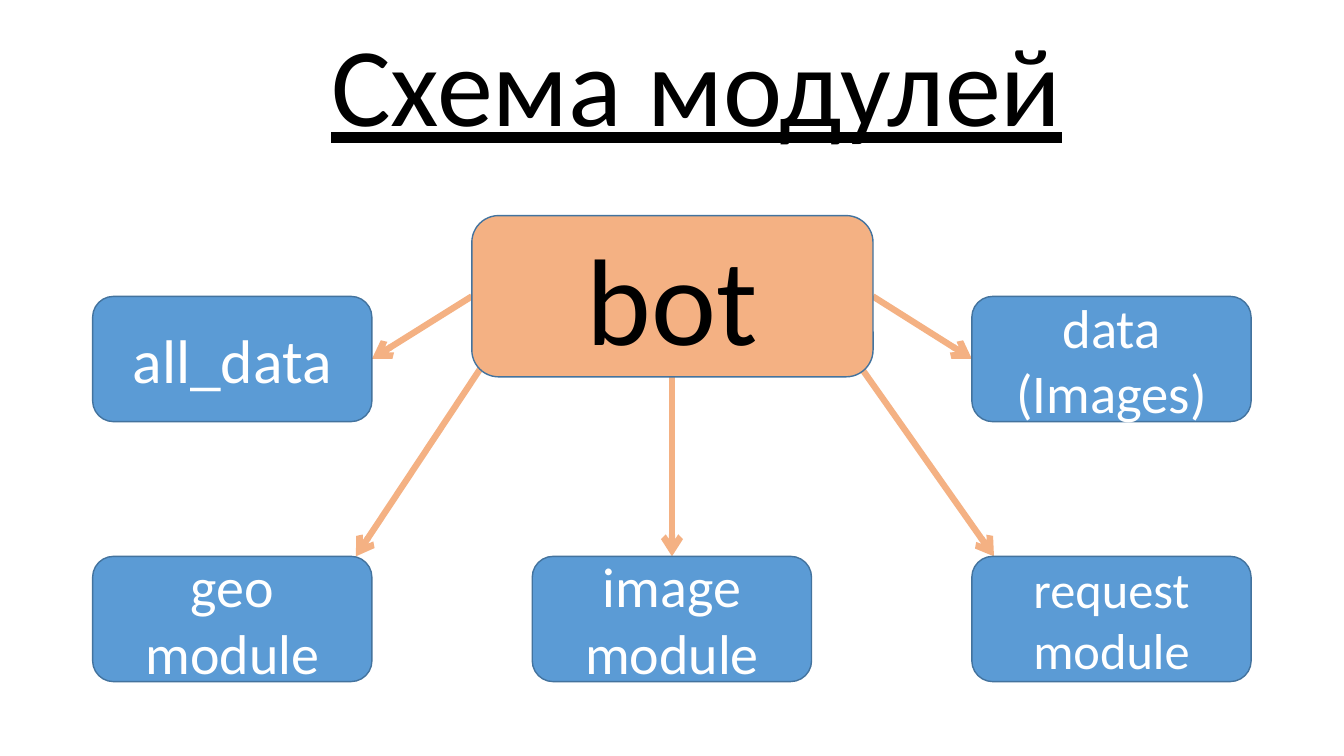
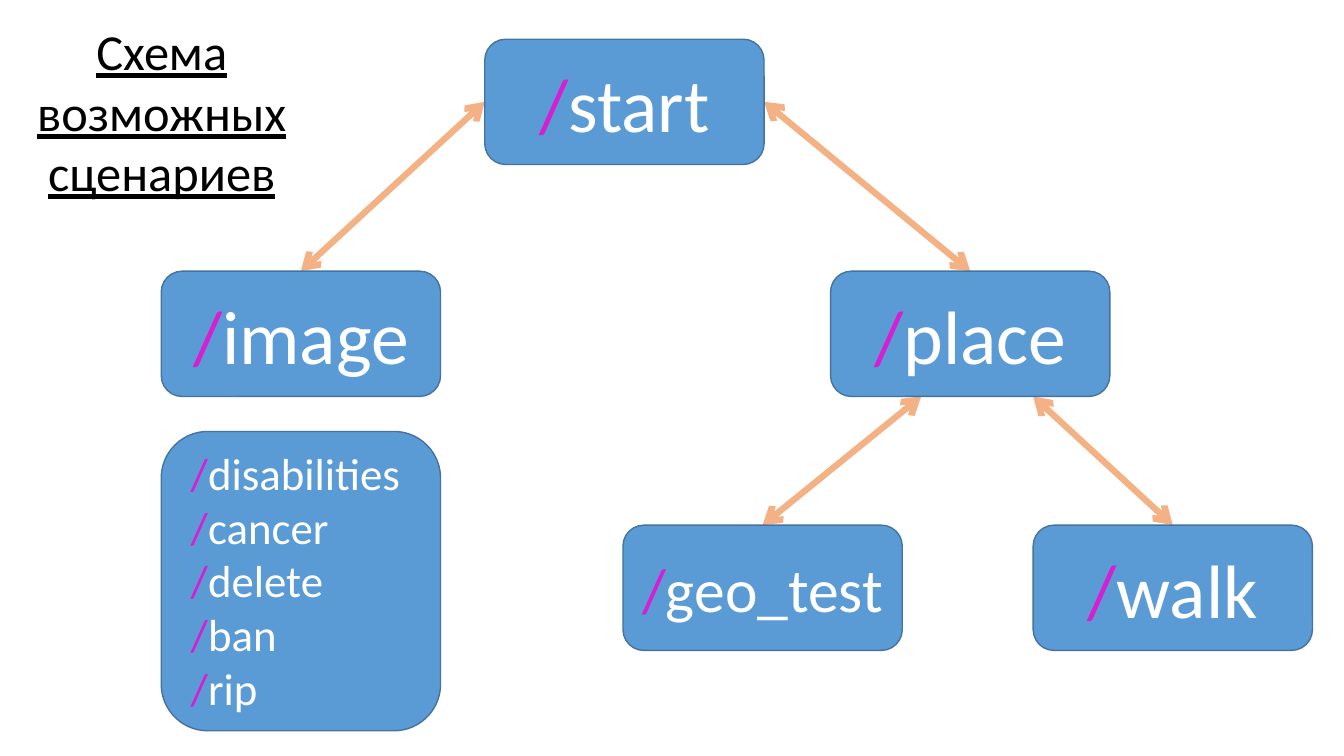
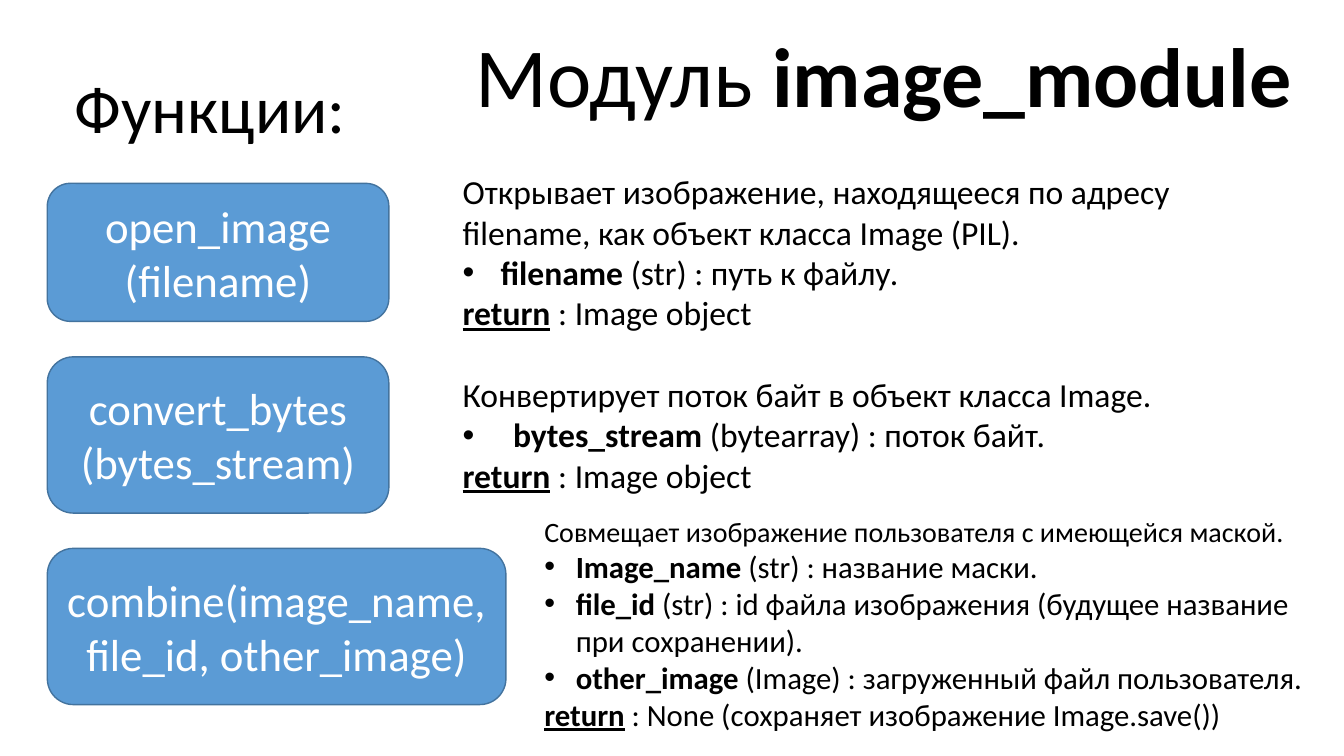
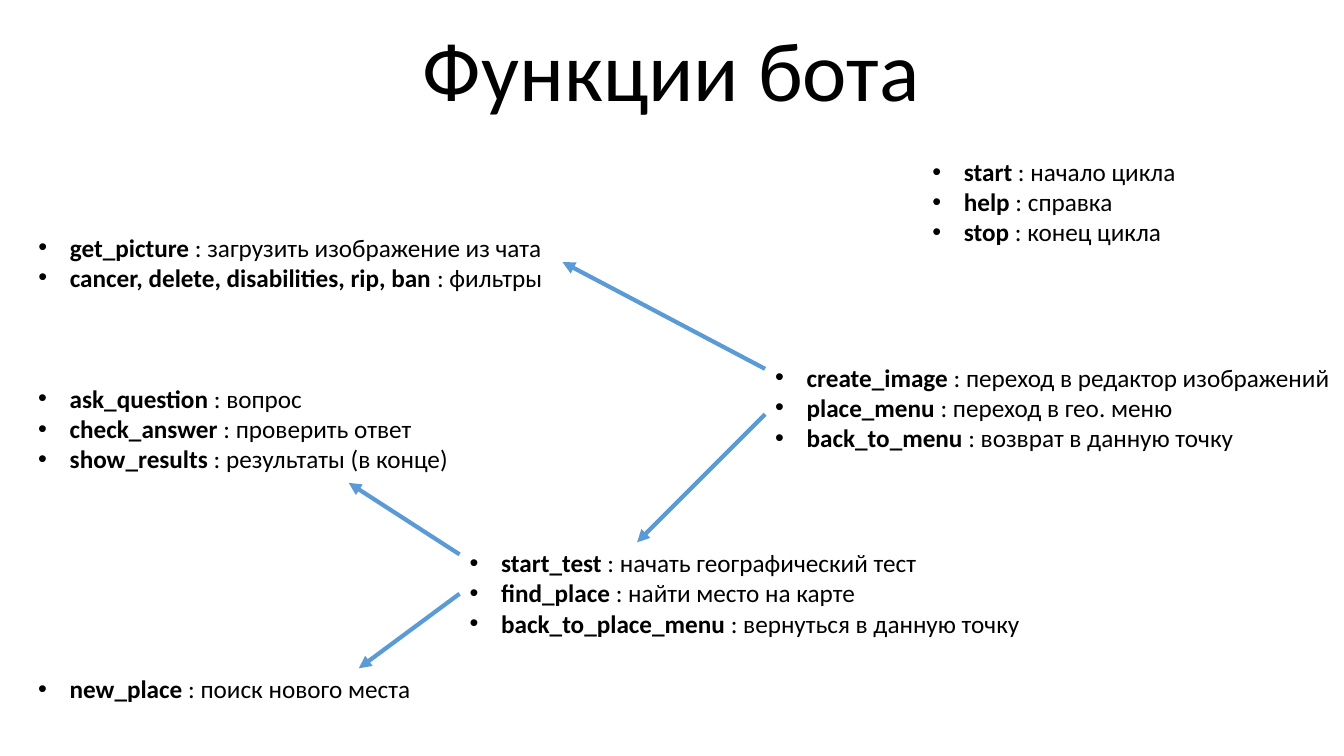
from dataclasses import dataclass
from typing import Any

from lxml import etree
from pptx import Presentation
from pptx import util as u
from pptx.dml import color
from pptx.enum import shapes, text
from pptx.oxml import ns

FONT = "Calibri"
BLUE, EDGE, PEACH = "5B9BD5", "43739E", "F4B183"
PINK, BLACK, WHITE = "D91DD0", "000000", "FFFFFF"
MID, TOP = text.MSO_ANCHOR.MIDDLE, text.MSO_ANCHOR.TOP
LEFT, CENTER = text.PP_ALIGN.LEFT, text.PP_ALIGN.CENTER
WIDE, HIGH = 199.5, 89.5
DENT = 22.5


@dataclass
class Run:
    words: str
    bold: bool = False
    under: bool = False
    hue: str | None = None


@dataclass
class Para:
    runs: list[Run]
    dent: float = 0
    size: float | None = None


@dataclass
class Look:
    size: float
    hue: str = BLACK
    align: Any = LEFT
    anchor: Any = TOP
    space: float = 1.0


@dataclass
class Area:
    x: float
    y: float
    w: float = WIDE
    h: float = HIGH


@dataclass
class Node:
    area: Area
    paras: list[Para]
    size: float = 32
    fill: str = BLUE
    hue: str = WHITE


@dataclass
class Block:
    area: Area
    paras: list[Para]
    look: Look


@dataclass
class Arrow:
    x1: float
    y1: float
    x2: float
    y2: float


@dataclass
class Pen:
    hue: str
    width: float
    tail: str
    head: str | None = None


@dataclass
class Page:
    layout: int
    title: Block
    nodes: list[Node]
    blocks: list[Block]
    arrows: list[Arrow]
    pen: Pen | None = None


def tint(code: str) -> color.RGBColor:
    return color.RGBColor.from_string(code)


def assign(item: Any, values: dict[str, Any]) -> None:
    for name, value in values.items():
        setattr(item, name, value)


def extend(node: Any, tag: str, **values: str) -> None:
    etree.SubElement(node, ns.qn(tag), values)


def place(item: Any, area: Area) -> None:
    assign(item, {"left": u.Pt(area.x), "top": u.Pt(area.y),
                  "width": u.Pt(area.w), "height": u.Pt(area.h)})


def bullet(line: Any, dent: float) -> None:
    props = line._p.get_or_add_pPr()
    props.set("marL", str(u.Pt(dent)))
    props.set("indent", str(-u.Pt(dent)))
    if dent:
        extend(props, "a:buFont", typeface="Arial")
        extend(props, "a:buChar", char="•")
    else:
        extend(props, "a:buNone")


def write(shape: Any, paras: list[Para], look: Look) -> None:
    frame = shape.text_frame
    assign(frame, {"word_wrap": True, "auto_size": text.MSO_AUTO_SIZE.NONE,
                   "vertical_anchor": look.anchor})
    for place_no, para in enumerate(paras):
        line = frame.add_paragraph() if place_no else frame.paragraphs[0]
        assign(line, {"alignment": look.align, "line_spacing": look.space,
                      "space_before": u.Pt(0), "space_after": u.Pt(0)})
        bullet(line, para.dent)
        for part in para.runs:
            run = line.add_run()
            run.text = part.words
            assign(run.font, {"name": FONT, "size": u.Pt(para.size or look.size),
                              "bold": part.bold, "underline": part.under})
            run.font.color.rgb = tint(part.hue or look.hue)


def draw_node(slide: Any, node: Node) -> None:
    shape = slide.shapes.add_shape(shapes.MSO_SHAPE.ROUNDED_RECTANGLE, 0, 0, 0, 0)
    place(shape, node.area)
    shape.shadow.inherit = False
    shape.fill.solid()
    shape.fill.fore_color.rgb = tint(node.fill)
    shape.line.color.rgb = tint(EDGE)
    shape.line.width = u.Pt(1)
    if node.paras:
        write(shape, node.paras, Look(node.size, node.hue, CENTER, MID))


def draw_arrow(slide: Any, arrow: Arrow, pen: Pen) -> None:
    ends = [u.Pt(n) for n in (arrow.x1, arrow.y1, arrow.x2, arrow.y2)]
    link = slide.shapes.add_connector(shapes.MSO_CONNECTOR.STRAIGHT, *ends)
    link.line.color.rgb = tint(pen.hue)
    link.line.width = u.Pt(pen.width)
    props = link._element.spPr
    stroke = props.find(ns.qn("a:ln"))
    if pen.head:
        extend(stroke, "a:headEnd", type=pen.head)
    extend(stroke, "a:tailEnd", type=pen.tail)
    extend(props, "a:effectLst")


def draw_block(shape: Any, block: Block) -> None:
    place(shape, block.area)
    write(shape, block.paras, block.look)


def draw_page(deck: Any, page: Page) -> None:
    slide = deck.slides.add_slide(deck.slide_layouts[page.layout])
    slots = [slot for slot in slide.placeholders if slot.placeholder_format.idx]
    draw_block(slide.shapes.title, page.title)
    for arrow in page.arrows:
        draw_arrow(slide, arrow, page.pen)
    for node in page.nodes:
        draw_node(slide, node)
    for block in page.blocks:
        shape = slots.pop(0) if slots else slide.shapes.add_textbox(0, 0, 0, 0)
        slide.shapes._spTree.append(shape._element)
        draw_block(shape, block)


def plain(*lines: str) -> list[Para]:
    return [Para([Run(line)]) for line in lines]


def item(name: str, rest: str, dent: float = DENT, size: float | None = None) -> Para:
    return Para([Run(name, bold=True), Run(f" {rest}")], dent, size)


def result(rest: str, size: float | None = None) -> Para:
    return Para([Run("return", bold=True, under=True), Run(f" : {rest}")], 0, size)


def order(name: str) -> Para:
    return Para([Run("/", hue=PINK), Run(name)])


def title(area: Area, size: float, *runs: Run) -> Block:
    return Block(area, [Para(list(runs))], Look(size, align=CENTER, anchor=MID, space=0.9))


def listing(area: Area, *pairs: tuple[str, str]) -> Block:
    return Block(area, [item(name, f": {rest}") for name, rest in pairs], Look(18))


def modules() -> Page:
    cols = [66.2 + 314 * n for n in range(3)]
    high, low = 211.7, 397.4
    return Page(
        5,
        title(Area(83.5, 12.2, 828, 104.4), 80, Run("Схема модулей", under=True)),
        [
            Node(Area(cols[0], low), plain("geo module"), 40),
            Node(Area(cols[0], high), plain("all_data"), 44),
            Node(Area(cols[2], high), plain("data", "(Images)"), 39),
            Node(Area(cols[2], low), plain("request module"), 36),
            Node(Area(cols[1], low), plain("image", "module"), 40),
            Node(Area(337, 154, 286.6, 115.2), plain("bot"), 88, PEACH, BLACK),
        ],
        [],
        [
            Arrow(480, 268.6, 480, low),
            Arrow(614.2, 261.4, 710, low),
            Arrow(623.5, high, cols[2], 256.3),
            Arrow(337, high, cols[0] + WIDE, 256.3),
            Arrow(346.3, 258.5, 254.2, low),
        ],
        Pen(PEACH, 4.5, "arrow"),
    )


def scenes() -> Page:
    first, second, third = 28, 193.7, 375.1
    start, image, spot, test, walk = 346.3, 115.2, 593.3, 445, 738
    half, base = WIDE / 2, second + HIGH
    names = ("disabilities", "cancer", "delete", "ban", "rip")
    return Page(
        1,
        Block(Area(0, 10.8, 231.2, 138.2),
              [Para([Run("Схема возможных сценариев", under=True)])],
              Look(36, align=CENTER)),
        [
            Node(Area(image, 308.2, WIDE, 213.8), []),
            Node(Area(start, first), [order("start")], 54),
            Node(Area(image, second), [order("image")], 54),
            Node(Area(spot, second), [order("place")], 54),
            Node(Area(test, third), [order("geo_test")], 44),
            Node(Area(walk, third), [order("walk")], 54),
        ],
        [Block(Area(129, 314.6, WIDE, 223.2), [order(name) for name in names],
               Look(32, WHITE))],
        [
            Arrow(start, first + HIGH / 2, image + half, second),
            Arrow(start + WIDE, first + HIGH / 2, spot + half, second),
            Arrow(658, base, test + half, third),
            Arrow(738, base, walk + half, third),
        ],
        Pen(PEACH, 4.5, "arrow", "arrow"),
    )


def image() -> Page:
    edge, body = 33.8, 323.3
    return Page(
        4,
        title(Area(329, 16.6, 604.8, 81.4), 60, Run("Модуль "), Run("image_module", bold=True)),
        [
            Node(Area(edge, 131, 244, 98.6), plain("open_image", "(filename)")),
            Node(Area(edge, 254.9, 244, 111.6), plain("convert_bytes", "(bytes_stream)")),
            Node(Area(edge, 391.7, 327.6, 111.6),
                 plain("combine(image_name, file_id, other_image)")),
        ],
        [
            Block(Area(46.1, 43.9, 220.3, 87.1), plain("Функции:"), Look(48)),
            Block(Area(body, 118.8, 530, 123.8), [
                *plain("Открывает изображение, находящееся по адресу",
                       "filename, как объект класса Image (PIL)."),
                item("filename", "(str) : путь к файлу.", 27),
                result("Image object"),
            ], Look(24)),
            Block(Area(body, 263.5, 615.6, 94.3), [
                *plain("Конвертирует поток байт в объект класса Image."),
                item("bytes_stream", "(bytearray) : поток байт.", 36),
                result("Image object"),
            ], Look(24)),
            Block(Area(381.6, 363.6, 558, 164.9), [
                Para([Run("Совмещает изображение пользователя с имеющейся маской.")], size=20),
                item("Image_name", "(str) : название маски."),
                item("file_id", "(str) : id файла изображения "
                     "(будущее название при сохранении)."),
                item("other_image", "(Image) : загруженный файл пользователя."),
                result("None (сохраняет изображение Image.save())"),
            ], Look(22)),
        ],
        [],
    )


def actions() -> Page:
    edge, menu, geo = 20.2, 546.5, 328.3
    return Page(
        4,
        title(Area(264.2, 0, 430.6, 106.6), 60, Run("Функции бота")),
        [],
        [
            listing(Area(658.8, 108, 189.4, 72.7), ("start", "начало цикла"),
                    ("help", "справка"), ("stop", "конец цикла")),
            listing(Area(menu, 254.9, 413.3, 94.3),
                    ("create_image", "переход в редактор изображений"),
                    ("place_menu", "переход в гео. меню"),
                    ("back_to_menu", "возврат в данную точку")),
            listing(Area(edge, 162, 381.6, 51),
                    ("get_picture", "загрузить изображение из чата"),
                    ("cancer, delete, disabilities, rip, ban", "фильтры")),
            listing(Area(geo, 387.4, 409, 72.7),
                    ("start_test", "начать географический тест"),
                    ("find_place", "найти место на карте"),
                    ("back_to_place_menu", "вернуться в данную точку")),
            listing(Area(edge, 270, 308.2, 72.7), ("ask_question", "вопрос"),
                    ("check_answer", "проверить ответ"),
                    ("show_results", "результаты (в конце)")),
            listing(Area(edge, 477.4, 336.2, 28.8), ("new_place", "поиск нового места")),
        ],
        [
            Arrow(menu, 263.5, 401.8, 187.2),
            Arrow(menu, 295.9, 455, 387.4),
            Arrow(geo, 396, 249.1, 344.9),
            Arrow(geo, 424.1, 256.3, 477.4),
        ],
        Pen(BLUE, 3, "triangle"),
    )


def main() -> None:
    deck = Presentation()
    assign(deck, {"slide_width": u.Pt(960), "slide_height": u.Pt(540)})
    for build in (modules, scenes, image, actions):
        draw_page(deck, build())
    deck.save("out.pptx")


if __name__ == "__main__":
    main()
